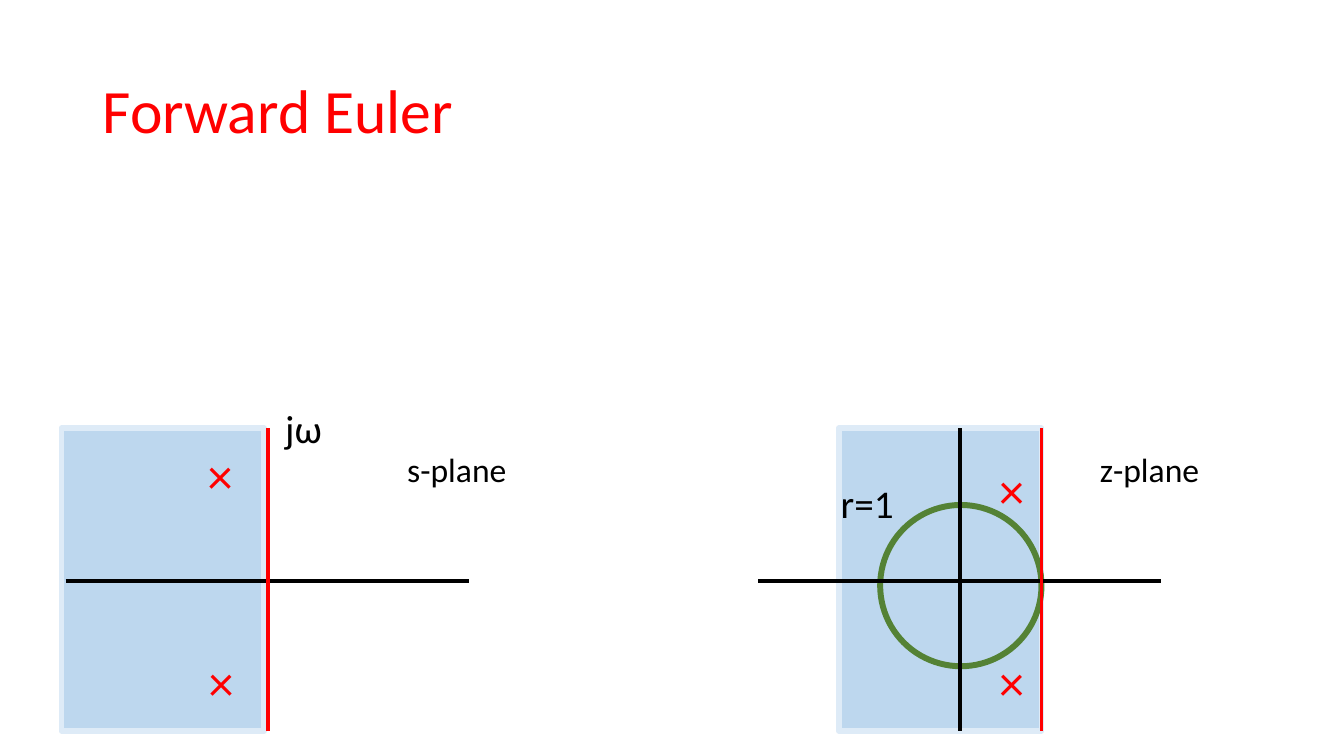
from lxml import etree
from pptx import Presentation
from pptx import util as u
from pptx.dml.color import RGBColor
from pptx.enum import shapes, text
from pptx.oxml.ns import qn

PX = 9144
COLORS = {
    "red": "FF0000",
    "black": "000000",
    "region": "BDD7EE",
    "region_edge": "DEEBF7",
    "circle": "548235",
}


class PlaneSlide:
    """Draws styled elements on one slide, with lengths in px (100 to the inch)."""

    def __init__(self, presentation):
        self.font = "Calibri"
        self.slide = presentation.slides.add_slide(presentation.slide_layouts[5])

    def color(self, name):
        return RGBColor.from_string(COLORS[name])

    def format_text(self, frame, content, size, color):
        frame.text = content
        paragraph = frame.paragraphs[0]
        paragraph.alignment = text.PP_ALIGN.LEFT
        font = paragraph.runs[0].font
        font.name = self.font
        font.size = u.Pt(size)
        font.color.rgb = self.color(color)
        return paragraph

    def title(self, content, left, top, width, height):
        shape = self.slide.shapes.title
        shape.left, shape.top = left * PX, top * PX
        shape.width, shape.height = width * PX, height * PX
        frame = shape.text_frame
        frame.auto_size = text.MSO_AUTO_SIZE.NONE
        frame.vertical_anchor = text.MSO_ANCHOR.MIDDLE
        paragraph = self.format_text(frame, content, 44, "red")
        paragraph.line_spacing = 0.9

    def label(self, content, left, top, width, height, size, color="black"):
        box = self.slide.shapes.add_textbox(left * PX, top * PX, width * PX, height * PX)
        frame = box.text_frame
        frame.word_wrap = True
        frame.auto_size = text.MSO_AUTO_SIZE.SHAPE_TO_FIT_TEXT
        self.format_text(frame, content, size, color)

    def pole(self, left, top):
        self.label("×", left, top, 79, 71, 36, "red")

    def area(self, kind, left, top, width, height, edge):
        shape = self.slide.shapes.add_shape(
            kind, left * PX, top * PX, width * PX, height * PX)
        shape.shadow.inherit = False
        shape.fill.solid()
        shape.fill.fore_color.rgb = self.color("region")
        shape.line.color.rgb = self.color(edge)
        shape.line.width = u.Pt(4.25)

    def region(self, left):
        self.area(shapes.MSO_SHAPE.RECTANGLE, left, 425, 201, 300, "region_edge")

    def line(self, x1, y1, x2, y2, color):
        connector = self.slide.shapes.add_connector(
            shapes.MSO_CONNECTOR.STRAIGHT, x1 * PX, y1 * PX, x2 * PX, y2 * PX)
        connector.line.color.rgb = self.color(color)
        connector.line.width = u.Pt(2.75)
        etree.SubElement(connector._element.spPr, qn("a:effectLst"))

    def real_axis(self, left):
        self.line(left, 576, left + 400, 576, "black")

    def vertical(self, x, color):
        self.line(x, 425, x, 725, color)


def main():
    presentation = Presentation()
    presentation.slide_width = 1333 * PX
    presentation.slide_height = 750 * PX
    page = PlaneSlide(presentation)
    page.title("Forward Euler", 92, 40, 417, 145)

    page.region(832)
    page.area(shapes.MSO_SHAPE.OVAL, 873, 501, 160, 160, "circle")
    page.region(61)

    for name, axis_left in (("s-plane", 65), ("z-plane", 752)):
        page.real_axis(axis_left)
        page.label(name, axis_left + 329, 440, 160, 50, 24)

    page.vertical(266, "red")
    page.vertical(952, "black")
    page.label("jω", 273, 396, 65, 57, 28)
    page.label("r=1", 824, 471, 100, 57, 28)
    page.vertical(1033, "red")

    for left, top in ((196, 436), (197, 641), (981, 641), (981, 451)):
        page.pole(left, top)
    presentation.save("out.pptx")


if __name__ == "__main__":
    main()
